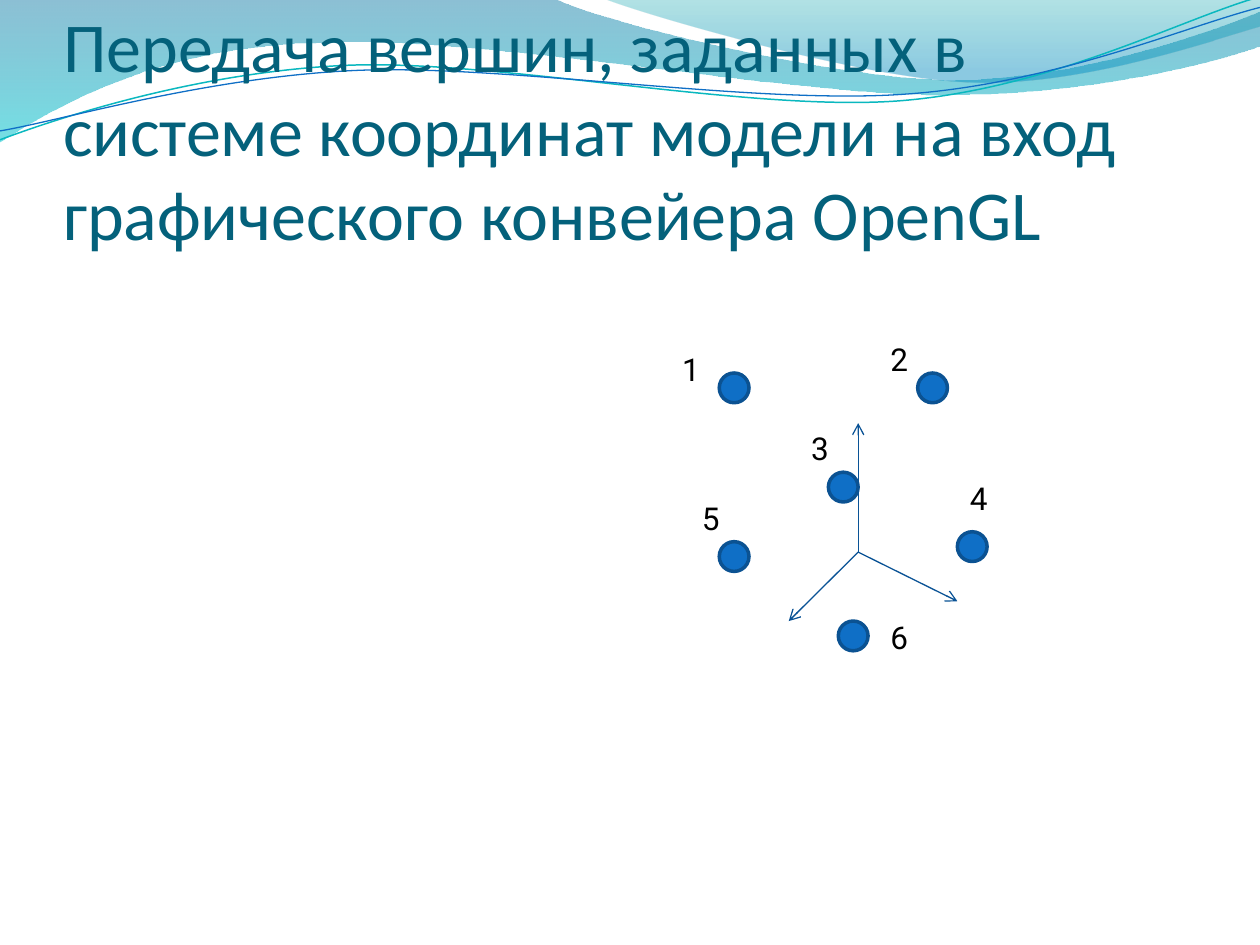
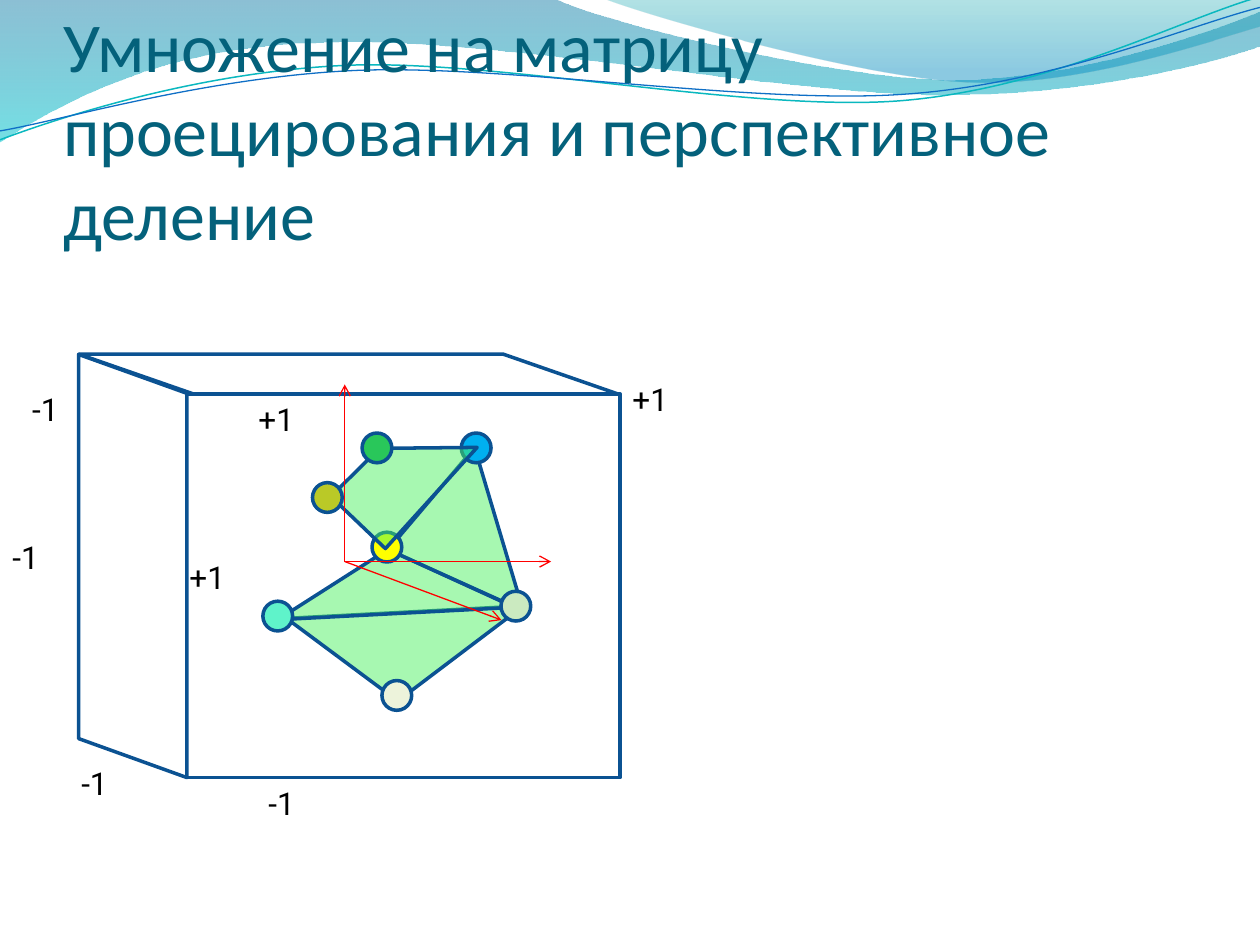
from lxml.etree import SubElement
from pptx import Presentation
from pptx.dml.color import RGBColor
from pptx.enum.shapes import MSO_CONNECTOR, MSO_SHAPE
from pptx.enum.text import MSO_ANCHOR, MSO_AUTO_SIZE, PP_ALIGN
from pptx.oxml.ns import qn
from pptx.util import Cm, Pt

HUES = {
    "title": "04617B", "text": "000000", "ball": "0F6FC6", "edge": "0B5292",
    "axis": "095295", "red": "FF0000", "face": "4CF260",
    "sky": "00B0F0", "yellow": "FFFF00", "aqua": "5FF3CA", "sage": "CBEAC0",
    "cream": "EDF3DB", "green": "29C75A", "olive": "BAC927",
    "deep": "0074A1", "teal": "00C6CF", "sea": "00A1A9", "blue": "008BBF",
    "cyan": "0AB8BF",
}
RGB = {name: RGBColor.from_string(code) for name, code in HUES.items()}
DOT = 0.6


def paint(shape, fill=None, alpha=100, edge="edge", width=2):
    shape.shadow.inherit = False
    if fill:
        shape.fill.solid()
        shape.fill.fore_color.rgb = RGB[fill]
    else:
        shape.fill.background()
    if alpha < 100:
        for hue in shape.element.spPr.iter(qn("a:srgbClr")):
            SubElement(hue, qn("a:alpha")).set("val", str(alpha * 1000))
    shape.line.color.rgb = RGB[edge]
    shape.line.width = Pt(width)


def plot(slide, start, legs, close=True):
    spots = [start]
    for leg in legs:
        spots += zip(leg[::2], leg[1::2])
    ends = [(Cm(x), Cm(y)) for x, y in spots]
    pen = slide.shapes.build_freeform(*ends[0], scale=1.0)
    pen.add_line_segments(ends[1:], close=close)
    shape = pen.convert_to_shape()
    nodes = iter(list(shape.element.spPr.iter(qn("a:lnTo"))))
    for leg in legs:
        parts = [next(nodes) for _ in leg[::2]]
        if len(parts) == 3:
            curve = parts[0].makeelement(qn("a:cubicBezTo"))
            parts[0].addprevious(curve)
            for part in parts:
                curve.append(part[0])
                part.getparent().remove(part)
    return shape


deck = Presentation()
deck.slide_width = Cm(25.4)
deck.slide_height = Cm(19.05)
model, clip = [deck.slides.add_slide(deck.slide_layouts[5]) for _ in range(2)]

waves = [
    ((0, -0.03), [
        (11.18, -0.03),
        (12.09, 0.43, 16.87, 1.6, 19.25, 1.6),
        (21.67, 1.6, 24.33, 0.66, 25.4, 0.23),
        (25.43, 0.91),
        (24.97, 1.12, 22.1, 1.93, 18.95, 1.91),
        (15.8, 1.91, 9.7, 0.71, 6.53, 0.86),
        (3.28, 0.89, 1.17, 2.11, -0.03, 2.87),
    ], [("deep", 0, 45), ("teal", 1, 55)], None),
    ((12.17, -0.03), [
        (12.93, 0.28, 17.32, 1.57, 19.53, 1.65),
        (21.74, 1.75, 24.41, 0.81, 25.4, 0.53),
        (25.4, 0),
    ], [("sea", 0, 30), ("blue", 0.8, 45)], None),
    ((-0.05, 2.22), [
        (1.19, 1.82, 4.02, 1.04, 7.01, 1.05),
        (10.05, 1.07, 15.02, 2.37, 18.08, 2.29),
        (21.13, 2.2, 23.86, 0.91, 25.4, 0.55),
    ], None, ("cyan", 0.85)),
    ((-0.04, 2.04), [
        (1.16, 1.9, 4.17, 1.15, 7.2, 1.16),
        (10.25, 1.18, 15.13, 2.23, 18.19, 2.16),
        (21.21, 2.1, 23.93, 1.06, 25.45, 0.75),
    ], None, ("ball", 0.75)),
]
tree = deck.slide_master.element.cSld.spTree
for rank, (start, legs, stops, line) in enumerate(waves):
    wave = plot(model, start, legs, close=bool(stops))
    if stops:
        wave.shadow.inherit = False
        wave.fill.gradient()
        wave.fill.gradient_angle = 270
        for stop, (hue, place, _) in zip(wave.fill.gradient_stops, stops):
            stop.color.rgb = RGB[hue]
            stop.position = place
        for node, (_, _, alpha) in zip(wave.element.spPr.iter(qn("a:srgbClr")), stops):
            SubElement(node, qn("a:alpha")).set("val", str(alpha * 1000))
        wave.line.fill.background()
    else:
        paint(wave, edge=line[0], width=line[1])
        wave.rotation = 357.3
    wave.element.nvSpPr.cNvPr.set("id", str(20 + rank))
    tree.insert(2 + rank, wave.element)

faces = [
    (5.82, 12.34, 4.78, 1.78, 177, False, 0.55),
    (5.56, 11.07, 4.78, 1.3, 177, True, 0.52),
    (7.26, 9.86, 3.43, 2.26, 73.4, True, 0.43),
]
for x, y, w, h, turn, flip, peak in faces:
    face = clip.shapes.add_shape(MSO_SHAPE.ISOSCELES_TRIANGLE, Cm(x), Cm(y), Cm(w), Cm(h))
    face.adjustments[0] = peak
    face.rotation = turn
    if flip:
        face.element.spPr.find(qn("a:xfrm")).set("flipV", "1")
    paint(face, "face", 49)

balls = [
    (model, 14.5, 7.52, "ball"), (model, 18.5, 7.52, "ball"),
    (model, 16.7, 9.52, "ball"), (model, 14.5, 10.92, "ball"),
    (model, 19.3, 10.72, "ball"), (model, 16.9, 12.52, "ball"),
    (clip, 9.3, 8.73, "sky"), (clip, 7.5, 10.73, "yellow"),
    (clip, 5.3, 12.12, "aqua"), (clip, 10.1, 11.92, "sage"),
    (clip, 7.7, 13.72, "cream"),
    (clip, 7.3, 8.73, "green"), (clip, 6.3, 9.73, "olive"),
]
for slide, x, y, hue in balls:
    if hue == "green":
        patch = plot(clip, (7.77, 11.06), [(9.62, 9.02), (7.65, 9.04), (6.67, 10.01)])
        paint(patch, "face", 49)
    ball = slide.shapes.add_shape(MSO_SHAPE.OVAL, Cm(x), Cm(y), Cm(DOT), Cm(DOT))
    paint(ball, hue)

walls = [
    (MSO_SHAPE.RECTANGLE, 3.76, 7.94, 8.74, 7.74, 0, False, None),
    (MSO_SHAPE.PARALLELOGRAM, -1.59, 10.32, 8.53, 2.18, 90, False, 0.36),
    (MSO_SHAPE.PARALLELOGRAM, 1.59, 7.14, 10.86, 0.8, 0, True, 2.88),
]
for kind, x, y, w, h, turn, flip, slant in walls:
    wall = clip.shapes.add_shape(kind, Cm(x), Cm(y), Cm(w), Cm(h))
    wall.rotation = turn
    if slant:
        wall.adjustments[0] = slant
    if flip:
        wall.element.spPr.find(qn("a:xfrm")).set("flipH", "1")
    paint(wall)

place = {"left": Cm(1.27), "top": Cm(1.96), "width": Cm(23.06), "height": Cm(3.18)}
frame = {
    "margin_left": 0, "margin_right": 0, "margin_top": Cm(0.13), "margin_bottom": 0,
    "vertical_anchor": MSO_ANCHOR.BOTTOM, "auto_size": MSO_AUTO_SIZE.NONE,
    "word_wrap": True,
}
heads = [
    (model, "Передача вершин, заданных в системе координат модели на вход графического конвейера OpenGL"),
    (clip, "Умножение на матрицу проецирования и перспективное деление"),
]
for slide, words in heads:
    head = slide.shapes.title
    head.text_frame.text = words
    line = head.text_frame.paragraphs[0]
    line.alignment = PP_ALIGN.LEFT
    font = line.runs[0].font
    font.color.rgb = RGB["title"]
    for thing, form in ((head, place), (head.text_frame, frame),
                        (font, {"name": "Calibri", "size": Pt(40)})):
        for key, value in form.items():
            setattr(thing, key, value)

axes = [
    (model, "axis", (17.3, 11.13), [(19.3, 12.12), (15.9, 12.52), (17.3, 8.53)]),
    (clip, "red", (6.95, 11.32), [(11.11, 11.32), (6.95, 7.75), (10.11, 12.5)]),
]
for slide, hue, hub, tips in axes:
    for tip in tips:
        ray = slide.shapes.add_connector(
            MSO_CONNECTOR.STRAIGHT, *[Cm(n) for n in (*hub, *tip)])
        ray.line.color.rgb = RGB[hue]
        ray.line.width = Pt(0.75)
        edge = ray.element.spPr.find(qn("a:ln"))
        SubElement(edge, qn("a:tailEnd")).set("type", "arrow")
        SubElement(ray.element.spPr, qn("a:effectLst"))

tags = [
    (model, "1", 13.5, 6.93, 0.8), (model, "2", 17.7, 6.73, 0.8),
    (model, "3", 16.1, 8.53, 0.8), (model, "4", 19.3, 9.53, 0.8),
    (model, "5", 13.9, 9.93, 0.8), (model, "6", 17.7, 12.33, 0.8),
    (clip, "-1", 0, 10.72, 1.2), (clip, "+1", 3.57, 11.12, 1.4),
    (clip, "-1", 1.39, 15.28, 1.2), (clip, "+1", 4.96, 7.94, 1.4),
    (clip, "-1", 5.16, 15.68, 1.2), (clip, "-1", 0.4, 7.74, 1.2),
    (clip, "+1", 12.5, 7.54, 1.57),
]
for slide, words, x, y, w in tags:
    tag = slide.shapes.add_textbox(Cm(x), Cm(y), Cm(w), Cm(1.02))
    tag.text_frame.word_wrap = True
    tag.text_frame.text = words
    font = tag.text_frame.paragraphs[0].runs[0].font
    font.color.rgb = RGB["text"]
    for key, value in {"name": "Roboto", "size": Pt(18)}.items():
        setattr(font, key, value)

deck.save("out.pptx")
